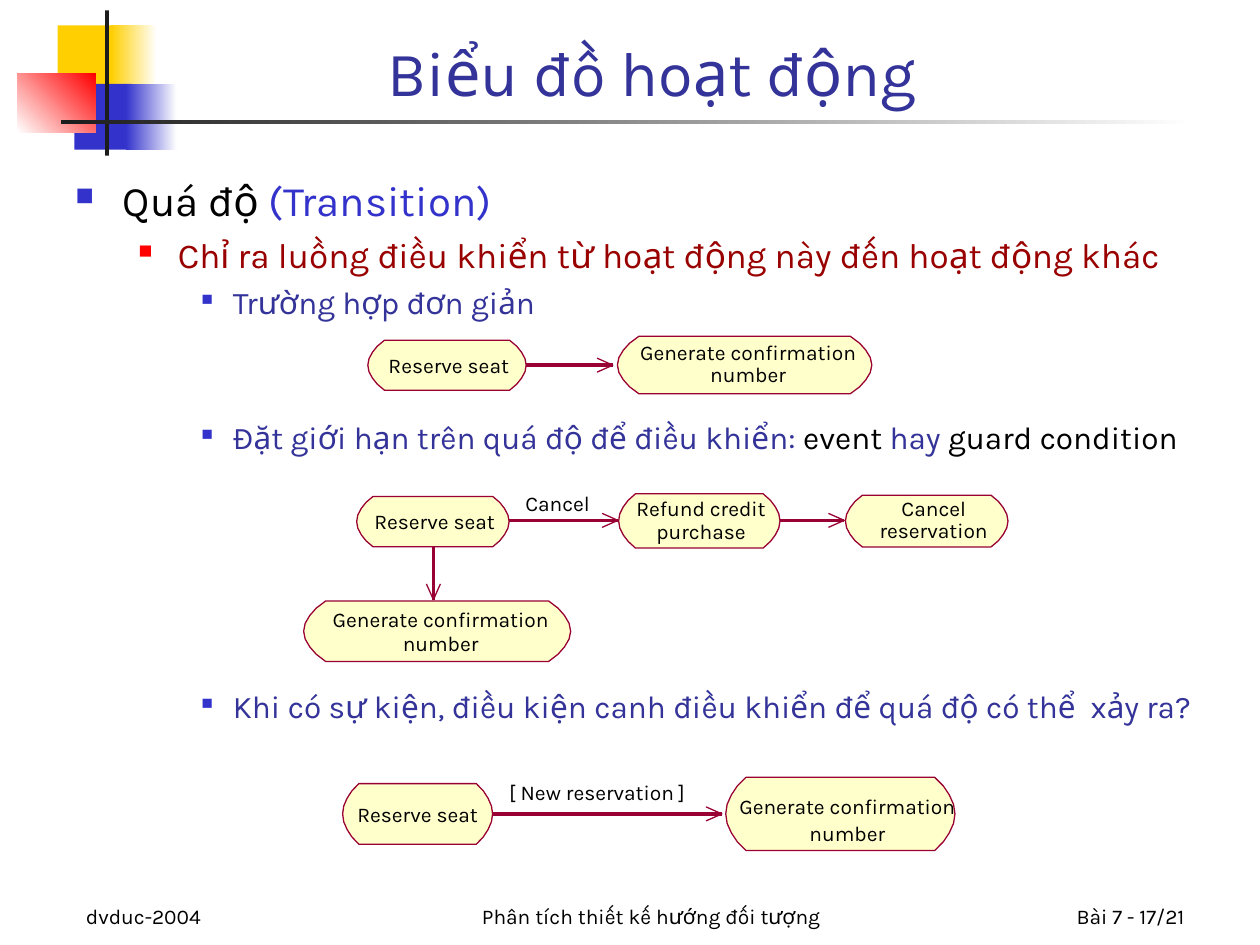
import lxml.etree
import pptx
import pptx.dml.color
import pptx.enum.shapes
import pptx.enum.text
import pptx.oxml.ns
import pptx.util

Pt = pptx.util.Pt
RGB = pptx.dml.color.RGBColor
ALIGN = pptx.enum.text.PP_ALIGN
ANCHOR = pptx.enum.text.MSO_ANCHOR
qn = pptx.oxml.ns.qn

FONT = "Karla"
BLACK = RGB(0x00, 0x00, 0x00)
WHITE = RGB(0xFF, 0xFF, 0xFF)
YELLOW = RGB(0xFF, 0xCF, 0x01)
BLUE = RGB(0x33, 0x33, 0xCC)
RED = RGB(0xFF, 0x00, 0x00)
CHARCOAL = RGB(0x1C, 0x1C, 0x1C)
INDIGO = RGB(0x33, 0x33, 0x99)
MAROON = RGB(0x99, 0x00, 0x00)
CREAM = RGB(0xFF, 0xFF, 0xCC)
CRIMSON = RGB(0x99, 0x00, 0x33)

# Rounded end of an activity: (share of cap width, share of height)
CAP = [(1, 0), (0.57, 0.12), (0.28, 0.24), (0.07, 0.37), (0, 0.5),
       (0.07, 0.63), (0.28, 0.76), (0.57, 0.88), (1, 1)]


def write(p, text, size=12, color=BLACK, align=ALIGN.LEFT, leading=None):
    """Add one formatted run to a paragraph."""
    p.alignment = align
    if leading:
        p.line_spacing = Pt(leading)
    r = p.add_run()
    r.text = text
    r.font.name = FONT
    r.font.size = Pt(size)
    r.font.color.rgb = color


def set_insets(tf, left=0, top=0, right=0, bottom=0):
    tf.margin_left, tf.margin_top = Pt(left), Pt(top)
    tf.margin_right, tf.margin_bottom = Pt(right), Pt(bottom)


def add_box(shapes, x, y, w, h, anchor=ANCHOR.TOP):
    tf = shapes.add_textbox(Pt(x), Pt(y), Pt(w), Pt(h)).text_frame
    tf.word_wrap = True
    tf.vertical_anchor = anchor
    return tf


def add_block(shapes, x, y, w, h, color, fade_to=None, angle=0):
    """Plain or fading rectangle without outline."""
    sp = shapes.add_shape(pptx.enum.shapes.MSO_SHAPE.RECTANGLE, Pt(x), Pt(y), Pt(w), Pt(h))
    sp.shadow.inherit = False
    sp.line.fill.background()
    if fade_to is None:
        sp.fill.solid()
        sp.fill.fore_color.rgb = color
    else:
        sp.fill.gradient()
        sp.fill.gradient_angle = angle
        for stop, stop_color in zip(sp.fill.gradient_stops, (color, fade_to)):
            stop.color.rgb = stop_color


def add_outline(shapes, points, close):
    pts = [(Pt(x), Pt(y)) for x, y in points]
    builder = shapes.build_freeform(*pts[0])
    builder.add_line_segments(pts[1:], close=close)
    sp = builder.convert_to_shape()
    sp.shadow.inherit = False
    sp.line.color.rgb = CRIMSON
    sp.line.width = Pt(0)
    return sp


def add_activity(shapes, x, y, w, h, text, leading=None, dx=1, dy=0):
    """Activity box; dx and dy nudge its centred label."""
    cap = 5 + 0.05 * w
    left = [(x + cap * u, y + h * v) for u, v in CAP]
    right = [(x + w - cap * u, y + h * v) for u, v in reversed(CAP)]
    sp = add_outline(shapes, left + right, True)
    sp.fill.solid()
    sp.fill.fore_color.rgb = CREAM
    tf = sp.text_frame
    tf.word_wrap = False
    tf.vertical_anchor = ANCHOR.MIDDLE
    set_insets(tf, left=2 * dx, top=2 * dy)
    for i, line in enumerate(text.split("\n")):
        p = tf.add_paragraph() if i else tf.paragraphs[0]
        write(p, line, align=ALIGN.CENTER, leading=leading)


def add_arrow(shapes, x, y, length, down=False, head=9, half=4):
    """Transition arrow with an open head, to the right or down."""
    def at(along, across):
        return (x + across, y + along) if down else (x + along, y + across)

    x2, y2 = at(length, 0)
    c = shapes.add_connector(pptx.enum.shapes.MSO_CONNECTOR.STRAIGHT,
                             Pt(x), Pt(y), Pt(x2), Pt(y2))
    c.line.color.rgb = CRIMSON
    c.line.width = Pt(0)
    lxml.etree.SubElement(c._element.spPr, qn("a:effectLst"))
    tip = [at(length - head, -half), (x2, y2), at(length - head, half)]
    add_outline(shapes, tip, False).fill.background()


def add_label(shapes, x, y, w, text):
    tf = add_box(shapes, x, y, w, 14.4)
    tf.word_wrap = False
    set_insets(tf)
    write(tf.paragraphs[0], text)


def add_decoration(shapes, x, y):
    """Coloured squares and crossing rules in the corner."""
    add_block(shapes, x + 23, y + 8.5, 34.5, 37.5, YELLOW)
    add_block(shapes, x + 53.5, y + 8.5, 26, 37.5, YELLOW, WHITE)
    add_block(shapes, x + 32.5, y + 42, 33, 37.5, BLUE)
    add_block(shapes, x + 62, y + 42, 29, 37.5, BLUE, WHITE)
    add_block(shapes, x, y + 36, 44.5, 33.5, WHITE, RED, angle=45)
    add_block(shapes, x + 50, y, 2.3, 83, CHARCOAL)
    add_block(shapes, x + 25, y + 62.5, 648, 2.5, CHARCOAL, WHITE)


def add_body(shapes, x, y, w, h):
    """Bulleted outline, with room for the diagrams between its points."""
    # (indent, hanging, space before, bullet colour, bullet %, size, runs)
    items = [
        (27, 27, 6, BLUE, 60, 24, [("Quá độ ", BLACK), ("(Transition)", BLUE)]),
        (58.5, 22.5, 5, RED, 55, 20,
         [("Chỉ ra luồng điều khiển từ hoạt động này đến hoạt động khác", MAROON)]),
        (90, 18, 4.5, BLUE, 50, 18, [("Trường hợp đơn giản", INDIGO)]),
        (90, 18, 55.6, BLUE, 50, 18,
         [("Đặt giới hạn trên quá độ để điều khiển: ", INDIGO), ("event", BLACK),
          (" hay ", INDIGO), ("guard condition", BLACK)]),
        (90, 18, 132.2, BLUE, 50, 18,
         [("Khi có sự kiện, điều kiện canh điều khiển để quá độ có thể  xảy ra?", INDIGO)]),
    ]
    tf = add_box(shapes, x, y, w, h)
    for i, (indent, hang, before, dot, percent, size, runs) in enumerate(items):
        p = tf.add_paragraph() if i else tf.paragraphs[0]
        for text, color in runs:
            write(p, text, size=size, color=color)
        p.space_before = Pt(before)
        pPr = p._p.get_or_add_pPr()
        pPr.set("marL", str(Pt(indent)))
        pPr.set("indent", str(-Pt(hang)))
        bu_color = lxml.etree.SubElement(pPr, qn("a:buClr"))
        lxml.etree.SubElement(bu_color, qn("a:srgbClr"), val=str(dot))
        lxml.etree.SubElement(pPr, qn("a:buSzPct"), val=str(percent * 1000))
        lxml.etree.SubElement(pPr, qn("a:buChar"), char="■")


def add_simple_case(shapes, x, y):
    g = shapes.add_group_shape().shapes
    add_activity(g, x, y + 2.2, 90.5, 28.6, "Reserve seat")
    add_activity(g, x + 142.6, y, 145.4, 32.8, "Generate confirmation\nnumber", 12.5, dx=2)
    add_arrow(g, x + 90.5, y + 16.5, 49.5)


def add_event_case(shapes, x, y):
    g = shapes.add_group_shape().shapes
    add_activity(g, x + 30.3, y + 1.5, 87.1, 28.8, "Reserve seat")
    add_activity(g, x + 180, y, 92.2, 31, "Refund credit\npurchase", 13)
    add_activity(g, x + 309.6, y + 0.8, 92.9, 29.5, "Cancel\nreservation", 12.5, dx=4)
    add_activity(g, x, y + 61.2, 152.6, 34.6, "Generate confirmation\nnumber", 14, dx=2)
    add_arrow(g, x + 117.4, y + 15.2, 62.2)
    add_arrow(g, x + 272.2, y + 15.2, 36.7)
    add_arrow(g, x + 74.2, y + 30.3, 30.2, down=True)
    add_label(g, x + 126.7, y - 2.1, 37.5, "Cancel")


def add_guard_case(shapes, x, y):
    g = shapes.add_group_shape().shapes
    add_activity(g, x, y + 3.6, 85.7, 34.6, "Reserve seat", dx=0)
    add_activity(g, x + 218.9, y, 131, 41.8, "Generate confirmation\nnumber", 15, dx=4, dy=3)
    add_arrow(g, x + 85.7, y + 20.9, 131)
    add_label(g, x + 95.1, y + 1.5, 106.5, "[ New reservation ]")


def add_footer(shapes, x, y, w, h):
    side = 150
    parts = [(x, side, "dvduc-2004", ALIGN.LEFT),
             (x + 192, 276, "Phân tích thiết kế hướng đối tượng", ALIGN.CENTER),
             (x + w - side, side, "Bài 7 - 17/21", ALIGN.RIGHT)]
    for left, width, text, align in parts:
        tf = add_box(shapes, left, y, width, h, ANCHOR.BOTTOM)
        write(tf.paragraphs[0], text, align=align)


def main():
    prs = pptx.Presentation()
    prs.slide_width, prs.slide_height = Pt(720), Pt(540)
    s = prs.slides.add_slide(prs.slide_layouts[6]).shapes
    add_decoration(s, 10, 6)
    add_footer(s, 42, 498, 642, 36)
    title = add_box(s, 91, 6, 563, 60, ANCHOR.BOTTOM)
    write(title.paragraphs[0], "Biểu đồ hoạt động", size=36, color=INDIGO, align=ALIGN.CENTER)
    add_body(s, 36, 96, 669, 396)
    add_simple_case(s, 210.2, 192.2)
    add_event_case(s, 173.5, 282.2)
    add_guard_case(s, 195.8, 444.2)
    prs.save("out.pptx")


if __name__ == "__main__":
    main()
